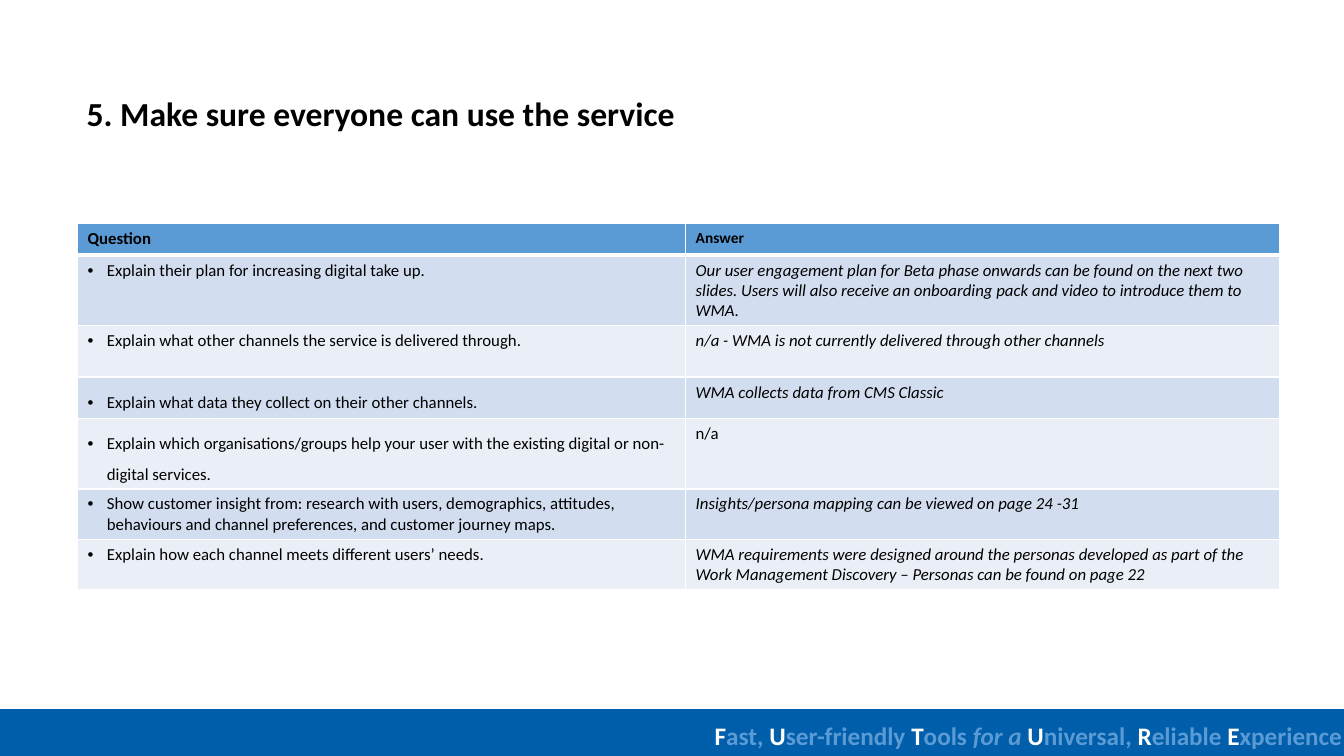
"""Build the service-standard slide on making sure everyone can use the service."""
from lxml import etree
from pptx import Presentation
from pptx.dml.color import RGBColor
from pptx.enum.shapes import MSO_SHAPE
from pptx.enum.text import MSO_ANCHOR
from pptx.oxml.ns import qn
from pptx.util import Inches, Pt

RECTANGLE = MSO_SHAPE.RECTANGLE
BOTTOM = MSO_ANCHOR.BOTTOM
WIDTH, HEIGHT = Inches(13.33), Inches(7.5)
FONT = "Calibri"
COLORS = {
    "bar": "005EAA",
    "accent": "5B9BD5",
    "odd": "D2DEEF",
    "even": "EAEFF7",
    "white": "FFFFFF",
    "black": "000000",
}


def style(run, size, color="black", bold=False, italic=False):
    font = run.font
    font.name, font.size, font.bold, font.italic = FONT, Pt(size), bold, italic
    font.color.rgb = RGBColor.from_string(COLORS[color])


def add_border(cell, side, points):
    properties = cell._tc.get_or_add_tcPr()
    line = etree.Element(qn(f"a:ln{side}"), w=str(Pt(points)))
    fill = etree.SubElement(line, qn("a:solidFill"))
    etree.SubElement(fill, qn("a:srgbClr"), val=COLORS["white"])
    properties.insert(0, line)


deck = Presentation()
deck.slide_width, deck.slide_height = WIDTH, HEIGHT
page = deck.slides.add_slide(deck.slide_layouts[6])

bar = page.shapes.add_shape(RECTANGLE, 0, Inches(7.04), WIDTH, Inches(0.45))
bar.shadow.inherit = False
bar.fill.solid()
bar.fill.fore_color.rgb = RGBColor.from_string(COLORS["bar"])
bar.line.color.rgb = RGBColor.from_string(COLORS["bar"])
bar.line.width = Pt(1)

motto_left = Inches(6.99)
motto = page.shapes.add_textbox(motto_left, Inches(7.1), WIDTH - motto_left, Inches(0.4))
motto.text_frame.word_wrap = True
motto.text_frame.margin_right = 0
motto_para = motto.text_frame.paragraphs[0]
MOTTO = [
    ("F", "ast, ", ""),
    ("U", "ser-friendly ", ""),
    ("T", "ools ", "for a "),
    ("U", "niversal, ", ""),
    ("R", "eliable ", ""),
    ("E", "xperience", ""),
]
for initial, rest, aside in MOTTO:
    for text, color, italic in (
        (initial, "white", False), (rest, "accent", False), (aside, "accent", True)
    ):
        if text:
            span = motto_para.add_run()
            span.text = text
            style(span, 18, color, True, italic)

title = page.shapes.add_textbox(Inches(0.76), Inches(0.78), Inches(11.62), Inches(0.6))
title.text_frame.word_wrap = True
title.text_frame.vertical_anchor = BOTTOM
title_para = title.text_frame.paragraphs[0]
title_para.text = "5. Make sure everyone can use the service"
title_para.line_spacing = 0.9
title_para.space_after = Pt(6)
style(title_para.runs[0], 24, bold=True)

ROWS = [
    ("Question", "Answer", 0.31, 1),
    ("Explain their plan for increasing digital take up.",
     "Our user engagement plan for Beta phase onwards can be found on the next two "
     "slides. Users will also receive an onboarding pack and video to introduce them to WMA.",
     0.7, 1),
    ("Explain what other channels the service is delivered through.",
     "n/a - WMA is not currently delivered through other channels", 0.51, 1),
    ("Explain what data they collect on their other channels.",
     "WMA collects data from CMS Classic", 0.41, 1.5),
    ("Explain which organisations/groups help your user with the existing digital or "
     "non-digital services.", "n/a", 0.7, 1.5),
    ("Show customer insight from: research with users, demographics, "
     "attitudes, behaviours and channel preferences, and customer journey maps.",
     "Insights/persona mapping can be viewed on page 24 -31", 0.5, 1),
    ("Explain how each channel meets different users’ needs.",
     "WMA requirements were designed around the personas developed as part of the "
     "Work Management Discovery – Personas can be found on page 22", 0.5, 1),
]
COLUMNS = [6.03, 5.89]
table = page.shapes.add_table(
    len(ROWS), len(COLUMNS), Inches(0.77), Inches(2.22),
    Inches(sum(COLUMNS)), Inches(sum(row[2] for row in ROWS)),
).table
for column, width in zip(table.columns, COLUMNS):
    column.width = Inches(width)

for row_index, (question, answer, height, spacing) in enumerate(ROWS):
    table.rows[row_index].height = Inches(height)
    header = row_index == 0
    fill = "accent" if header else "odd" if row_index % 2 else "even"
    for column_index, text in enumerate((question, answer)):
        cell = table.cell(row_index, column_index)
        cell.fill.solid()
        cell.fill.fore_color.rgb = RGBColor.from_string(COLORS[fill])
        for side in "BTRL":
            thick = (header and side == "B") or (row_index == 1 and side == "T")
            add_border(cell, side, 3 if thick else 1)
        para = cell.text_frame.paragraphs[0]
        para.text = text
        is_answer = column_index == 1
        if not header and not is_answer:
            para.line_spacing = spacing
            properties = para._p.get_or_add_pPr()
            properties.set("marL", str(Inches(0.19)))
            properties.set("indent", str(-Inches(0.19)))
            bullet_color = etree.SubElement(properties, qn("a:buClr"))
            etree.SubElement(bullet_color, qn("a:srgbClr"), val=COLORS["black"])
            etree.SubElement(properties, qn("a:buFont"), typeface="Arial")
            etree.SubElement(properties, qn("a:buChar"), char="•")
        italic = is_answer and not header and text != "n/a"
        style(para.runs[0], 11 if header and is_answer else 12, bold=header, italic=italic)

deck.save("out.pptx")
